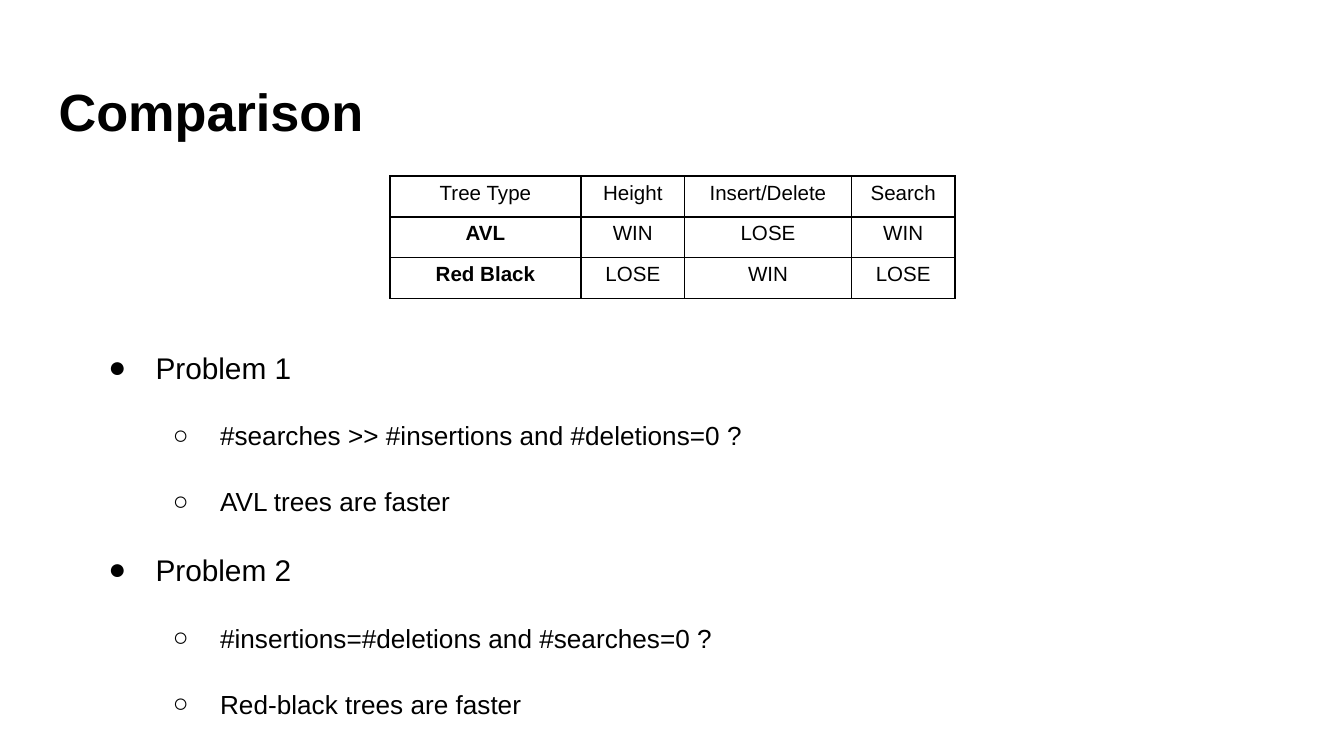
from dataclasses import dataclass

from lxml.etree import SubElement
from pptx import Presentation
from pptx.dml.color import RGBColor
from pptx.enum.text import PP_ALIGN as Align
from pptx.oxml.ns import qn
from pptx.util import Cm, Pt


@dataclass(frozen=True)
class Theme:
    font: str = "Arial"
    ink: RGBColor = RGBColor(0, 0, 0)
    title: int = 28
    levels: tuple = (16, 14)
    cell: int = 11
    border: int = 1


THEME = Theme()
ROWS = [
    ("Tree Type", "Height", "Insert/Delete", "Search"),
    ("AVL", "WIN", "LOSE", "WIN"),
    ("Red Black", "LOSE", "WIN", "LOSE"),
]
COLUMN_WIDTHS = (3.61, 1.96, 3.15, 1.96)
ROW_HEIGHT = 0.77
PROBLEMS = {
    "Problem 1": ("#searches >> #insertions and #deletions=0 ?", "AVL trees are faster"),
    "Problem 2": ("#insertions=#deletions and #searches=0 ?", "Red-black trees are faster"),
}
BULLETS = ("●", "○")
TEXT_INDENTS = (1.17, 2.39)
HANGING = 0.89


def write(para, text, size, bold=False):
    para.text = text
    font = para.font
    font.name, font.size, font.bold = THEME.font, Pt(size), bold
    font.color.rgb = THEME.ink


def add_box(page, left, top, width, height):
    box = page.shapes.add_textbox(Cm(left), Cm(top), Cm(width), Cm(height))
    frame = box.text_frame
    frame.word_wrap = True
    frame.margin_left = frame.margin_right = Cm(0.25)
    frame.margin_top = frame.margin_bottom = Cm(0.25)
    return frame


def add_color(parent):
    fill = SubElement(parent, qn("a:solidFill"))
    SubElement(fill, qn("a:srgbClr"), val=str(THEME.ink))


def add_borders(cell):
    properties = cell._tc.get_or_add_tcPr()
    for side in ("lnL", "lnR", "lnT", "lnB"):
        add_color(SubElement(properties, qn(f"a:{side}"), w=str(Pt(THEME.border))))


def add_comparison_table(page, left, top):
    frame = page.shapes.add_table(
        len(ROWS), len(COLUMN_WIDTHS), Cm(left), Cm(top),
        Cm(sum(COLUMN_WIDTHS)), Cm(ROW_HEIGHT * len(ROWS)),
    )
    table = frame.table
    table.first_row = table.horz_banding = False
    for column, width in zip(table.columns, COLUMN_WIDTHS):
        column.width = Cm(width)
    for row_index, labels in enumerate(ROWS):
        table.rows[row_index].height = Cm(ROW_HEIGHT)
        for column_index, label in enumerate(labels):
            cell = table.cell(row_index, column_index)
            cell.margin_left = cell.margin_right = Cm(0.18)
            cell.margin_top = cell.margin_bottom = Cm(0.1)
            para = cell.text_frame.paragraphs[0]
            para.alignment = Align.CENTER
            write(para, label, THEME.cell, bold=row_index > 0 and column_index == 0)
            add_borders(cell)
            cell.fill.background()


def add_bullet(para, text, level):
    para.level = level
    para.line_spacing = 1.15
    para.space_after = Pt(16)
    properties = para._p.get_or_add_pPr()
    properties.set("marL", str(Cm(TEXT_INDENTS[level])))
    properties.set("indent", str(-Cm(HANGING)))
    color = SubElement(properties, qn("a:buClr"))
    SubElement(color, qn("a:srgbClr"), val=str(THEME.ink))
    SubElement(properties, qn("a:buFont"), typeface=THEME.font)
    SubElement(properties, qn("a:buChar"), char=BULLETS[level])
    write(para, text, THEME.levels[level])


def add_problems(frame):
    lines = []
    for problem, answers in PROBLEMS.items():
        lines += [(problem, 0)] + [(answer, 1) for answer in answers]
    for index, (text, level) in enumerate(lines):
        para = frame.add_paragraph() if index else frame.paragraphs[0]
        add_bullet(para, text, level)


def main():
    deck = Presentation()
    deck.slide_width, deck.slide_height = Cm(25.4), Cm(14.29)
    page = deck.slides.add_slide(deck.slide_layouts[6])
    title = add_box(page, 0.86, 1.24, 23.67, 1.6)
    write(title.paragraphs[0], "Comparison", THEME.title, bold=True)
    add_comparison_table(page, 7.37, 3.33)
    add_problems(add_box(page, 1.52, 6.25, 19.74, 6.53))
    deck.save("out.pptx")


if __name__ == "__main__":
    main()
